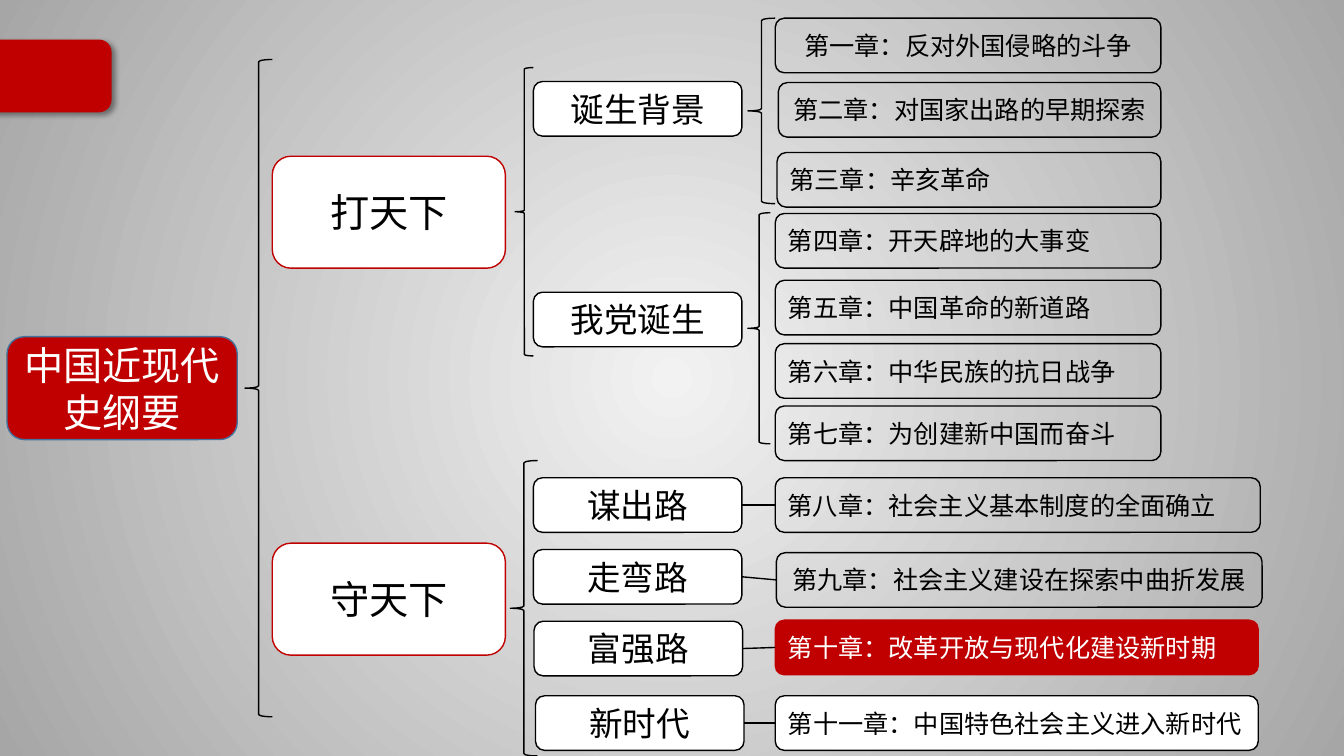
from lxml import etree
from pptx import Presentation
from pptx.dml.color import RGBColor
from pptx.enum.shapes import MSO_CONNECTOR, MSO_SHAPE
from pptx.enum.text import MSO_ANCHOR, PP_ALIGN
from pptx.oxml import parse_xml
from pptx.oxml.ns import nsdecls, qn
from pptx.util import Pt

ROUNDED = MSO_SHAPE.ROUNDED_RECTANGLE
BRACE = MSO_SHAPE.LEFT_BRACE
STRAIGHT = MSO_CONNECTOR.STRAIGHT
LEFT, CENTER = PP_ALIGN.LEFT, PP_ALIGN.CENTER
MIDDLE = MSO_ANCHOR.MIDDLE
LEFT_SIDE, RIGHT_SIDE = 1, 3

COLORS = {
    "red": "C00000",
    "blue": "43739E",
    "black": "000000",
    "white": "FFFFFF",
    "background_center": "F2F2F2",
    "background_edge": "A6A6A6",
}
ROW_HEIGHT = 39
BRANCH_WIDTH = 149

# left, top, width, height
BRACES = [
    (175, 42.5, 19.5, 469.5),
    (368, 48.25, 13, 206),
    (364.5, 329, 19.5, 211),
    (534.25, 13, 19.5, 132.5),
    (534.25, 152, 16, 165),
]
HALVES = [("打天下", 111.6), ("守天下", 388)]
# text, left, top
BRANCHES = [
    ("诞生背景", 381, 58.25),
    ("我党诞生", 381, 208.75),
    ("谋出路", 381, 341.25),
    ("走弯路", 381, 392.5),
    ("富强路", 381.5, 443.75),
    ("新时代", 382.5, 497),
]
# text, left, top, width, alignment, fill, line, text colour
CHAPTERS = [
    ("第一章：反对外国侵略的斗争", 553.75, 13, 275.5, CENTER, None, "black", "black"),
    ("第二章：对国家出路的早期探索", 556, 59, 273.25, CENTER, None, "black", "black"),
    ("第三章：辛亥革命", 555, 109, 274.25, LEFT, None, "black", "black"),
    ("第四章：开天辟地的大事变", 553.75, 152.5, 275.5, LEFT, None, "black", "black"),
    ("第五章：中国革命的新道路", 553.75, 200.25, 275.5, LEFT, None, "black", "black"),
    ("第六章：中华民族的抗日战争", 553.75, 245.5, 275.5, LEFT, None, "black", "black"),
    ("第七章：为创建新中国而奋斗", 553.75, 290, 275.5, LEFT, None, "black", "black"),
    ("第八章：社会主义基本制度的全面确立", 553.75, 341.25, 346.5, LEFT, None, "black", "black"),
    ("第九章：社会主义建设在探索中曲折发展", 554.5, 394.75, 347, CENTER, None, "black", "black"),
    ("第十章：改革开放与现代化建设新时期", 553.75, 443, 345, LEFT, "red", "red", "white"),
    ("第十一章：中国特色社会主义进入新时代", 553.75, 497, 345, LEFT, "white", "black", "black"),
]


def rgb(name):
    return RGBColor.from_string(COLORS[name])


class MindMap:
    font_name = "Noto Sans CJK SC"
    line_width = 1

    def __init__(self, slide):
        self.slide = slide

    def background(self, center, edge):
        """Fill the slide with a gradient that spreads from its centre."""
        fill = self.slide.background.fill
        fill.gradient()
        for stop, position, color in zip(fill.gradient_stops, (0, 1), (center, edge)):
            stop.position = position
            stop.color.rgb = rgb(color)
        gradient = self.slide.element.find(".//" + qn("a:gradFill"))
        gradient.replace(gradient.find(qn("a:lin")), parse_xml(
            f'<a:path {nsdecls("a")} path="circle">'
            '<a:fillToRect l="50000" t="50000" r="50000" b="50000"/></a:path>'))

    def shape(self, kind, left, top, width, height, fill, line):
        shape = self.slide.shapes.add_shape(kind, Pt(left), Pt(top), Pt(width), Pt(height))
        shape.shadow.inherit = False
        if fill:
            shape.fill.solid()
            shape.fill.fore_color.rgb = rgb(fill)
        else:
            shape.fill.background()
        shape.line.color.rgb = rgb(line)
        shape.line.width = Pt(self.line_width)
        return shape

    def brace(self, left, top, width, height):
        return self.shape(BRACE, left, top, width, height, None, "black")

    def tab(self, left, top, width, height):
        """Add the red tab with its shadow at the slide's left edge."""
        shape = self.shape(ROUNDED, left, top, width, height, "red", "red")
        effects = shape.element.spPr.find(qn("a:effectLst"))
        effects.append(parse_xml(
            f'<a:outerShdw {nsdecls("a")} blurRad="{Pt(4)}" dist="{Pt(3)}" dir="2700000" '
            'algn="tl" rotWithShape="0"><a:srgbClr val="000000">'
            '<a:alpha val="40000"/></a:srgbClr></a:outerShdw>'))

    def node(self, text, left, top, width, height, size,
             fill="white", line="black", color="black", alignment=CENTER):
        shape = self.shape(ROUNDED, left, top, width, height, fill, line)
        frame = shape.text_frame
        frame.word_wrap = True
        frame.vertical_anchor = MIDDLE
        paragraph = frame.paragraphs[0]
        paragraph.alignment = alignment
        run = paragraph.add_run()
        run.text = text
        run.font.size = Pt(size)
        run.font.color.rgb = rgb(color)
        run.font.name = self.font_name
        east_asian = etree.SubElement(run.font._element, qn("a:ea"))
        east_asian.set("typeface", self.font_name)
        return shape

    def link(self, chapter, branch):
        connector = self.slide.shapes.add_connector(STRAIGHT, 0, 0, 0, 0)
        connector.begin_connect(chapter, LEFT_SIDE)
        connector.end_connect(branch, RIGHT_SIDE)
        connector.line.color.rgb = rgb("black")
        connector.line.width = Pt(self.line_width)
        etree.SubElement(connector.element.spPr, qn("a:effectLst"))


def main():
    presentation = Presentation()
    presentation.slide_width = Pt(960)
    presentation.slide_height = Pt(540)
    slide = presentation.slides.add_slide(presentation.slide_layouts[6])
    mind_map = MindMap(slide)

    mind_map.background("background_center", "background_edge")
    mind_map.tab(-13, 28.75, 92.25, 51)
    mind_map.node("中国近现代史纲要", 5, 240.5, 164.5, 73.5, 28, "red", "blue", "white")
    for brace in BRACES:
        mind_map.brace(*brace)
    for text, top in HALVES:
        mind_map.node(text, 194.5, top, 166.5, 80, 28, line="red")

    branches = [mind_map.node(text, left, top, BRANCH_WIDTH, ROW_HEIGHT, 24)
                for text, left, top in BRANCHES]
    chapters = [mind_map.node(text, left, top, width, ROW_HEIGHT, 18,
                              fill, line, color, alignment)
                for text, left, top, width, alignment, fill, line, color in CHAPTERS]
    for chapter, branch in zip(chapters[-4:], branches[-4:]):
        mind_map.link(chapter, branch)

    presentation.save("out.pptx")


if __name__ == "__main__":
    main()
